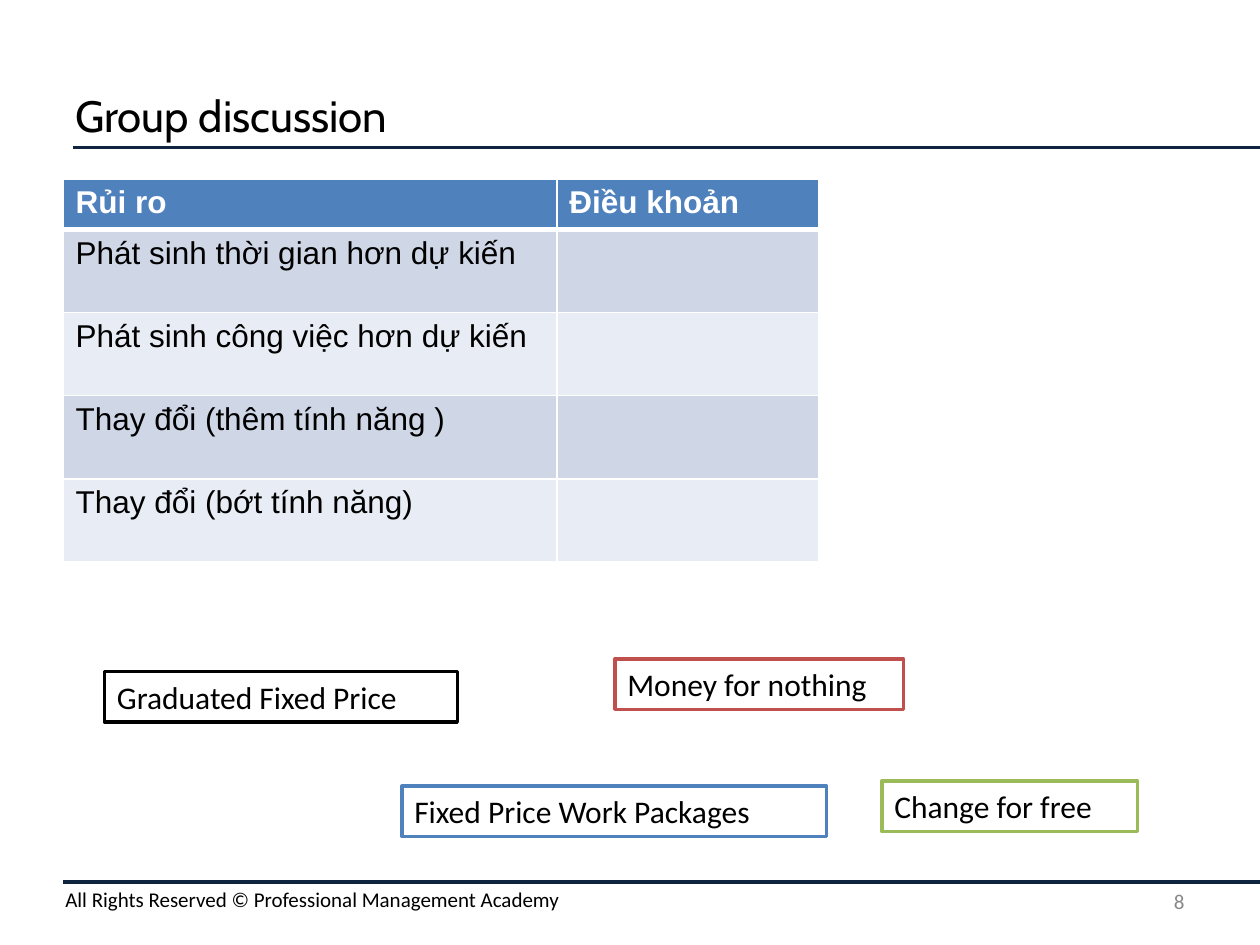
from dataclasses import dataclass

import lxml.etree
import pptx
import pptx.dml.color
import pptx.enum.shapes
import pptx.enum.text
import pptx.oxml.ns
import pptx.util

Inches = pptx.util.Inches
Pt = pptx.util.Pt
Align = pptx.enum.text.PP_ALIGN
Anchor = pptx.enum.text.MSO_ANCHOR
Fit = pptx.enum.text.MSO_AUTO_SIZE


@dataclass(frozen=True)
class Theme:
    black: str = "000000"
    white: str = "FFFFFF"
    navy: str = "0F243E"
    gray: str = "888888"
    blue: str = "4F81BD"
    red: str = "C0504D"
    green: str = "9BBB59"
    bands: tuple = ("CFD7E7", "E8ECF4")
    title_size: int = 25
    body_size: int = 18
    footer_size: int = 12
    rule_width: int = 2
    title_font: str = "Cabin"
    table_font: str = "Arial"
    text_font: str = "Calibri"


def rgb(color):
    return pptx.dml.color.RGBColor.from_string(color)


def apply(target, values):
    for name, value in values.items():
        setattr(target, name, value)


class SlideBuilder:
    def __init__(self, page, theme):
        self.page = page
        self.theme = theme

    def add_span(self, frame, text, font, size, color, bold=False, align=Align.LEFT):
        para = frame.paragraphs[0]
        para.alignment = align
        span = para.add_run()
        span.text = text
        apply(span.font, {"name": font, "size": Pt(size), "bold": bold})
        span.font.color.rgb = rgb(color)

    def text(self, place, text, font, size, color, align=Align.LEFT, **layout):
        box = self.page.shapes.add_textbox(*map(Inches, place))
        apply(box.text_frame, {"word_wrap": True, **layout})
        self.add_span(box.text_frame, text, font, size, color, align=align)

    def rule(self, left, top, right):
        line = self.page.shapes.add_connector(
            pptx.enum.shapes.MSO_CONNECTOR.STRAIGHT,
            Inches(left), Inches(top), Inches(right), Inches(top))
        line.line.color.rgb = rgb(self.theme.navy)
        line.line.width = Pt(self.theme.rule_width)
        lxml.etree.SubElement(line._element.spPr, pptx.oxml.ns.qn("a:effectLst"))

    def label(self, place, text, color):
        """Add a white rectangle with a coloured outline."""
        box = self.page.shapes.add_shape(
            pptx.enum.shapes.MSO_SHAPE.RECTANGLE, *map(Inches, place))
        box.shadow.inherit = False
        box.fill.solid()
        box.fill.fore_color.rgb = rgb(self.theme.white)
        box.line.color.rgb = rgb(color)
        box.line.width = Pt(self.theme.rule_width)
        apply(box.text_frame, {"word_wrap": True, "vertical_anchor": Anchor.TOP,
                               "auto_size": Fit.SHAPE_TO_FIT_TEXT})
        self.add_span(box.text_frame, text, self.theme.text_font,
                      self.theme.body_size, self.theme.black)

    def cell_borders(self, cell, top, bottom):
        properties = cell._tc.get_or_add_tcPr()
        for side, width in {"L": 1, "R": 1, "T": top, "B": bottom}.items():
            border = lxml.etree.SubElement(
                properties, pptx.oxml.ns.qn(f"a:ln{side}"), w=str(Pt(width)))
            fill = lxml.etree.SubElement(border, pptx.oxml.ns.qn("a:solidFill"))
            lxml.etree.SubElement(
                fill, pptx.oxml.ns.qn("a:srgbClr"), val=self.theme.white)

    def table(self, left, top, widths, heights, rows):
        theme = self.theme
        table = self.page.shapes.add_table(
            len(rows), len(widths), Inches(left), Inches(top),
            Inches(sum(widths)), Inches(sum(heights))).table
        for column, width in zip(table.columns, widths):
            column.width = Inches(width)
        for index, (row, height, texts) in enumerate(zip(table.rows, heights, rows)):
            row.height = Inches(height)
            header = index == 0
            for cell, text in zip(row.cells, texts):
                self.cell_borders(cell, 3 if index == 1 else 1, 3 if header else 1)
                cell.fill.solid()
                cell.fill.fore_color.rgb = rgb(
                    theme.blue if header else theme.bands[(index - 1) % 2])
                if text:
                    self.add_span(cell.text_frame, text, theme.table_font,
                                  theme.body_size,
                                  theme.white if header else theme.black, bold=header)


def main():
    theme = Theme()
    deck = pptx.Presentation()
    apply(deck, {"slide_width": Inches(10), "slide_height": Inches(7.5)})
    slide = SlideBuilder(deck.slides.add_slide(deck.slide_layouts[6]), theme)

    slide.rule(0.58, 1.17, 10)
    slide.rule(0.5, 7, 10)
    slide.text((0.42, 6.99, 9.58, 0.3),
               "All Rights Reserved © Professional Management Academy",
               theme.text_font, theme.footer_size, theme.black,
               auto_size=Fit.SHAPE_TO_FIT_TEXT)
    slide.text((0.5, 0.5, 9, 0.83), "Group discussion",
               theme.title_font, theme.title_size, theme.black,
               vertical_anchor=Anchor.MIDDLE)

    risks = ("Phát sinh thời gian hơn dự kiến", "Phát sinh công việc hơn dự kiến",
             "Thay đổi (thêm tính năng )", "Thay đổi (bớt tính năng)")
    slide.table(0.5, 1.42, (3.92, 2.08), [0.4] + [0.66] * len(risks),
                [("Rủi ro", "Điều khoản")] + [(risk, "") for risk in risks])

    slide.text((7.17, 6.95, 2.33, 0.4), "8", theme.text_font, theme.footer_size,
               theme.gray, align=Align.RIGHT, vertical_anchor=Anchor.MIDDLE)

    for left, top, width, text, color in (
            (7, 6.2, 2.03, "Change for free", theme.green),
            (4.88, 5.23, 2.29, "Money for nothing", theme.red),
            (0.83, 5.33, 2.8, "Graduated Fixed Price", theme.black),
            (3.19, 6.24, 3.37, "Fixed Price Work Packages", theme.blue)):
        slide.label((left, top, width, 0.4), text, color)

    deck.save("out.pptx")


if __name__ == "__main__":
    main()
